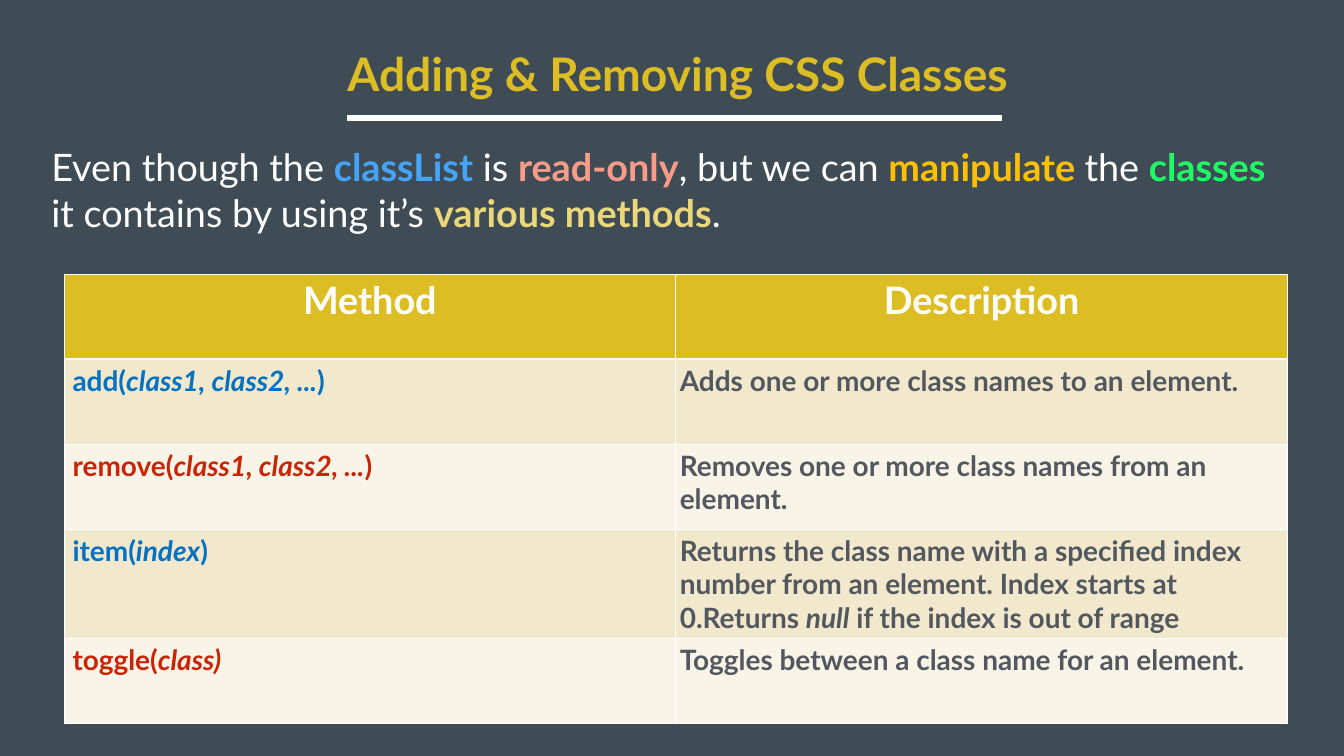
from lxml import etree
from pptx import Presentation
from pptx import util as u
from pptx.dml.color import RGBColor
from pptx.enum import shapes, text
from pptx.oxml import ns

PX = 9144  # EMU in one px, 100 px to the inch

SLATE = RGBColor(0x40, 0x4C, 0x55)
WHITE = RGBColor(0xFF, 0xFF, 0xFF)
GOLD = RGBColor(0xDC, 0xBD, 0x23)
SKY = RGBColor(0x45, 0xA4, 0xFC)
SALMON = RGBColor(0xFB, 0x9B, 0x89)
AMBER = RGBColor(0xFF, 0xC0, 0x00)
GREEN = RGBColor(0x1F, 0xFF, 0x66)
STRAW = RGBColor(0xEA, 0xD7, 0x7B)
BLUE = RGBColor(0x00, 0x70, 0xC0)
RED = RGBColor(0xC8, 0x25, 0x06)
GREY = RGBColor(0x53, 0x58, 0x5F)
BANDS = (RGBColor(0xF2, 0xE8, 0xCD), RGBColor(0xF9, 0xF4, 0xE8))

INTRO = [
    ("Even though the ", WHITE), ("classList", SKY), (" is ", WHITE),
    ("read-only", SALMON), (", but we can ", WHITE), ("manipulate ", AMBER),
    ("the ", WHITE), ("classes", GREEN), (" it contains by using it’s ", WHITE),
    ("various methods", STRAW), (".", WHITE),
]
# Pieces of each cell alternate between upright and italic.
METHODS = [
    (["add(", "class1, class2, ...", ")"],
     ["Adds one or more class names to an element."]),
    (["remove(", "class1, class2, ...", ")"],
     ["Removes one or more class names from an element."]),
    (["item(", "index", ")"],
     ["Returns the class name with a specified index number from an element. "
      "Index starts at 0.Returns ", "null", " if the index is out of range"]),
    (["toggle(", "class)"],
     ["Toggles between a class name for an element."]),
]


def px(*lengths):
    return [u.Emu(length * PX) for length in lengths]


class SlideBuilder:
    font_name = "Lato"

    def __init__(self, slide):
        self.slide = slide

    def background(self, color):
        fill = self.slide.background.fill
        fill.solid()
        fill.fore_color.rgb = color

    def runs(self, paragraph, pieces, size):
        """Add (text, color, format values) pieces to a paragraph."""
        for content, color, values in pieces:
            run = paragraph.add_run()
            run.text = content
            run.font.color.rgb = color
            font = {"name": self.font_name, "size": u.Pt(size), **values}
            for name, value in font.items():
                setattr(run.font, name, value)

    def text_box(self, box, pieces, size, wrap=True, align=None):
        frame = self.slide.shapes.add_textbox(*px(*box)).text_frame
        frame.word_wrap = wrap
        frame.auto_size = text.MSO_AUTO_SIZE.SHAPE_TO_FIT_TEXT
        frame.paragraphs[0].alignment = align
        self.runs(frame.paragraphs[0], pieces, size)

    def line(self, ends, color, width):
        connector = self.slide.shapes.add_connector(
            shapes.MSO_CONNECTOR.STRAIGHT, *px(*ends))
        connector.line.color.rgb = color
        connector.line.width = u.Pt(width)
        etree.SubElement(connector._element.spPr, ns.qn("a:effectLst"))

    def table(self, box, rows, columns):
        table = self.slide.shapes.add_table(rows, columns, *px(*box)).table
        table.horz_banding = False
        return table

    def borders(self, cell, color, widths):
        properties = cell._tc.get_or_add_tcPr()
        for side, width in widths.items():
            line = etree.SubElement(properties, ns.qn(f"a:ln{side}"), w=str(u.Pt(width)))
            fill = etree.SubElement(line, ns.qn("a:solidFill"))
            etree.SubElement(fill, ns.qn("a:srgbClr"), val=str(color))

    def cell(self, cell, pieces, size, fill, top=1, bottom=1, align=None, margins=None):
        self.borders(cell, WHITE, {"L": 1, "R": 1, "T": top, "B": bottom})
        cell.fill.solid()
        cell.fill.fore_color.rgb = fill
        for side, margin in (margins or {}).items():
            setattr(cell, f"margin_{side}", px(margin)[0])
        paragraph = cell.text_frame.paragraphs[0]
        paragraph.alignment = align
        self.runs(paragraph, pieces, size)


def main():
    presentation = Presentation()
    presentation.slide_width, presentation.slide_height = px(2667, 1500)
    builder = SlideBuilder(presentation.slides.add_slide(presentation.slide_layouts[6]))
    center = text.PP_ALIGN.CENTER

    builder.background(SLATE)
    builder.text_box((670, 85, 1350, 121),
                     [("Adding & Removing CSS Classes", GOLD, {"bold": True})],
                     66, wrap=False, align=center)
    builder.line((689, 234, 1988, 234), WHITE, 8)
    builder.text_box((92, 281, 2464, 464),
                     [(content, color, {"bold": color != WHITE}) for content, color in INTRO], 54)

    table = builder.table((127, 544, 2428, 845), len(METHODS) + 1, 2)
    for column, heading in enumerate(("Method", "Description")):
        builder.cell(table.cell(0, column), [(heading, WHITE, {"bold": True})],
                     54, GOLD, bottom=3, align=center)
    for row, contents in enumerate(METHODS):
        colors = ((BLUE, RED)[row % 2], GREY)
        for column, (parts, color, left) in enumerate(zip(contents, colors, (17, 8))):
            pieces = [(part, color, {"bold": True, "italic": index % 2 == 1})
                      for index, part in enumerate(parts)]
            builder.cell(table.cell(row + 1, column), pieces, 40, BANDS[row % 2],
                         top=3 if row == 0 else 1,
                         margins={"left": left, "right": 8, "top": 8, "bottom": 8})

    presentation.save("out.pptx")


if __name__ == "__main__":
    main()
